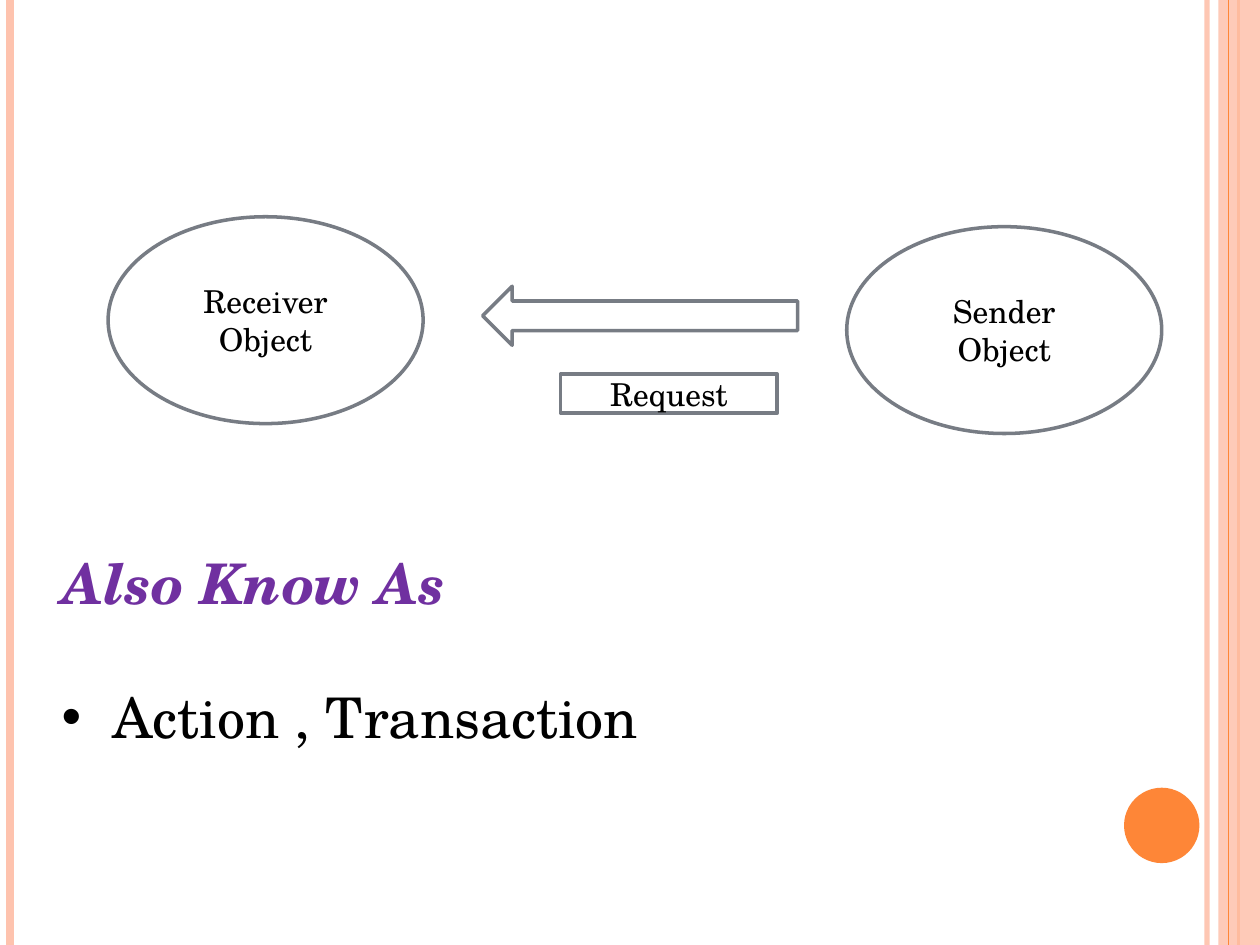
import pptx
import pptx.dml.color
import pptx.enum.shapes
import pptx.enum.text
import pptx.oxml
import pptx.oxml.ns
import pptx.util
from lxml import etree

Cm = pptx.util.Cm
Pt = pptx.util.Pt
SHAPE = pptx.enum.shapes.MSO_SHAPE
ALIGN = pptx.enum.text.PP_ALIGN
ANCHOR = pptx.enum.text.MSO_ANCHOR

FONT = "TeX Gyre Schola"
ORANGE, PEACH, GRAY = "FE8637", "FEC3AE", "777C84"
WHITE, BLACK, PURPLE = "FFFFFF", "000000", "7030A0"
SLIDE_WIDTH, SLIDE_HEIGHT = 25.4, 19.05


def color(hex_string):
    return pptx.dml.color.RGBColor.from_string(hex_string)


def set_values(target, values):
    for name, value in values.items():
        setattr(target, name, value)


def set_opacity(color_parent, percent):
    for element in color_parent.iter(pptx.oxml.ns.qn("a:srgbClr")):
        alpha = etree.SubElement(element, pptx.oxml.ns.qn("a:alpha"))
        alpha.set("val", str(percent * 1000))


def format_font(font, size, hex_string, **values):
    set_values(font, {"name": FONT, "size": Pt(size), **values})
    font.color.rgb = color(hex_string)


def add_shape(slide, kind, box, fill, outline=None):
    shape = slide.shapes.add_shape(kind, *(Cm(length) for length in box))
    shape.shadow.inherit = False
    shape.fill.solid()
    shape.fill.fore_color.rgb = color(fill)
    if outline:
        shape.line.color.rgb = color(outline)
        shape.line.width = Pt(2)
    else:
        shape.line.fill.background()
    return shape


def add_label(shape, text):
    frame = shape.text_frame
    set_values(frame, {"word_wrap": True, "vertical_anchor": ANCHOR.MIDDLE})
    paragraph = frame.paragraphs[0]
    paragraph.text = text
    paragraph.alignment = ALIGN.CENTER
    format_font(paragraph.runs[0].font, 18, BLACK)


def add_vertical_line(slide, x, top, height, hex_string, width, opacity=100):
    line = slide.shapes.add_connector(
        pptx.enum.shapes.MSO_CONNECTOR.STRAIGHT, Cm(x), Cm(top), Cm(x), Cm(top + height))
    line.line.color.rgb = color(hex_string)
    line.line.width = Pt(width)
    properties = line._element.spPr
    if opacity < 100:
        set_opacity(properties, opacity)
    etree.SubElement(properties, pptx.oxml.ns.qn("a:effectLst"))


def add_frame(slide, box):
    """Draw the stripes along both sides and the corner disc."""
    left, top, width, height = box
    right = left + width
    add_vertical_line(slide, right - 1.07, top, height, PEACH, 3, 93)
    add_vertical_line(slide, left + 0.2, top, height, PEACH, 4.5)
    add_vertical_line(slide, right - 0.43, top, height, ORANGE, 1.5)
    band = add_shape(slide, SHAPE.RECTANGLE, (right - 0.84, top, 0.84, height), PEACH)
    set_opacity(band._element.spPr, 87)
    add_vertical_line(slide, right - 0.63, top, height, ORANGE, 0.75)
    add_shape(slide, SHAPE.OVAL, (right - 2.74, top + 15.88, 1.52, 1.52), ORANGE)


def add_request_diagram(slide, box):
    left, top, width, height = box
    oval_width, oval_height = 6.35, 4.17
    ovals = (
        ("Receiver Object", left, top),
        ("Sender Object", left + width - oval_width, top + height - oval_height),
    )
    for text, x, y in ovals:
        oval = add_shape(slide, SHAPE.OVAL, (x, y, oval_width, oval_height), WHITE, GRAY)
        add_label(oval, text)
    arrow = add_shape(slide, SHAPE.RIGHT_ARROW,
                      (left + 7.55, top + 1.4, 6.35, 1.19), WHITE, GRAY)
    arrow.rotation = 180
    request = add_shape(slide, SHAPE.RECTANGLE,
                        (left + 9.12, top + 3.17, 4.37, 0.79), WHITE, GRAY)
    add_label(request, "Request")


def fill_placeholder(placeholder, box, text, **font_values):
    left, top, width, height = (Cm(length) for length in box)
    set_values(placeholder, {"left": left, "top": top, "width": width, "height": height})
    frame = placeholder.text_frame
    set_values(frame, {"word_wrap": True, "vertical_anchor": ANCHOR.TOP,
                       "auto_size": pptx.enum.text.MSO_AUTO_SIZE.NONE})
    paragraph = frame.paragraphs[0]
    paragraph.text = text
    set_values(paragraph, {"alignment": ALIGN.LEFT, "space_before": Pt(0)})
    format_font(paragraph.runs[0].font, 32, **font_values)
    return paragraph


def add_bullet(paragraph, indent):
    properties = paragraph._p.get_or_add_pPr()
    properties.set("marL", str(Cm(indent)))
    properties.set("indent", str(-Cm(indent)))
    bullet = etree.SubElement(properties, pptx.oxml.ns.qn("a:buChar"))
    bullet.set("char", "•")


def add_other_names(slide, box):
    left, top, width, height = box
    list_offset = 2.71
    fill_placeholder(slide.shapes.title, (left, top, width, 1.6), "Also Know As",
                     hex_string=PURPLE, bold=True, italic=True)
    names = fill_placeholder(
        slide.placeholders[1], (left, top + list_offset, width, height - list_offset),
        "Action , Transaction", hex_string=BLACK)
    add_bullet(names, 1.02)


def main():
    presentation = pptx.Presentation()
    set_values(presentation, {"slide_width": Cm(SLIDE_WIDTH), "slide_height": Cm(SLIDE_HEIGHT)})
    slide = presentation.slides.add_slide(presentation.slide_layouts[1])
    add_frame(slide, (0, 0, SLIDE_WIDTH, SLIDE_HEIGHT))
    add_request_diagram(slide, (2.18, 4.37, 21.24, 4.37))
    add_other_names(slide, (0.99, 10.92, 22.02, 5.74))
    presentation.save("out.pptx")


if __name__ == "__main__":
    main()
